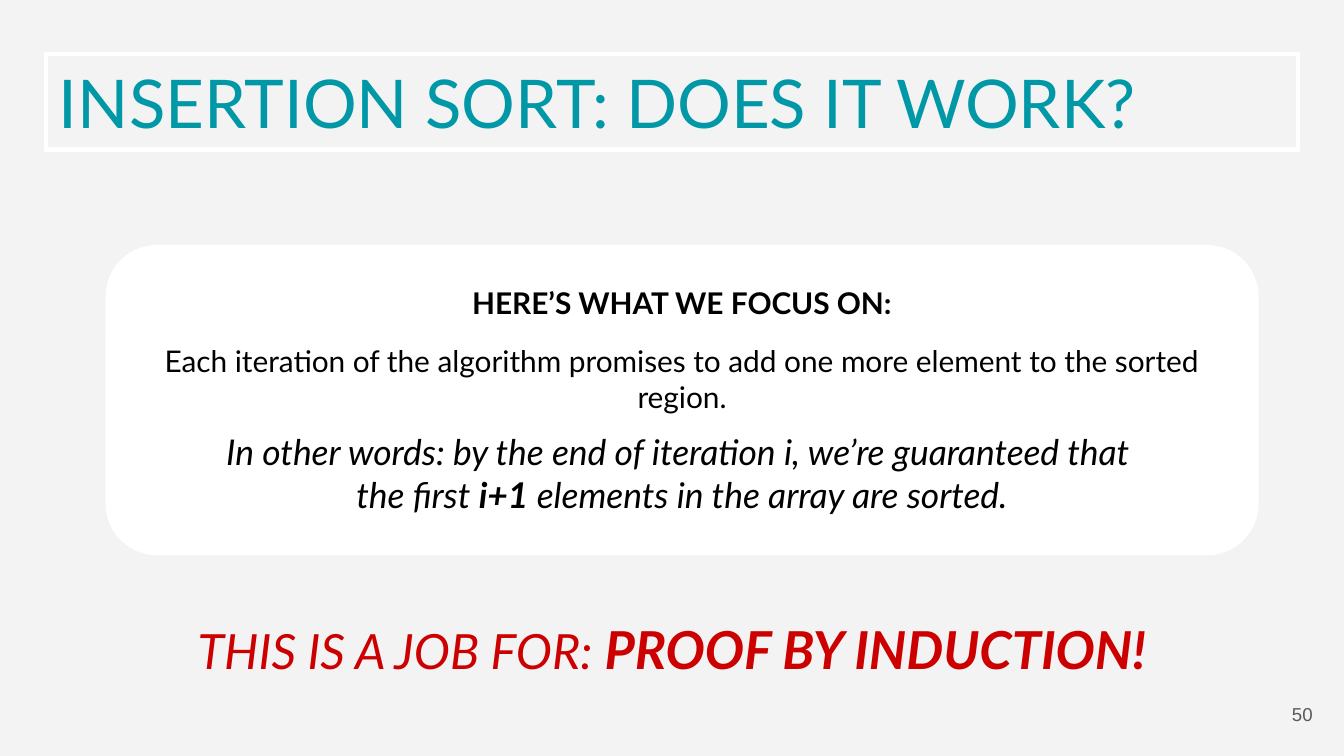
from dataclasses import dataclass

from pptx import Presentation
from pptx import util as u
from pptx.dml import color
from pptx.enum import shapes, text

WIDE = u.Inches(10)
HIGH = WIDE * 9 // 16


@dataclass(frozen=True)
class Theme:
    back: str = "F3F3F3"
    white: str = "FFFFFF"
    black: str = "000000"
    teal: str = "0097A7"
    red: str = "CC0000"
    grey: str = "595959"
    main: str = "Lato"
    plain: str = "Arial"
    title: int = 36
    loud: int = 28
    call: int = 26
    claim: int = 19
    body: int = 16
    page: int = 10


@dataclass(frozen=True)
class Area:
    left: float
    top: float
    width: float
    height: float

    def place(self) -> tuple:
        return (round(self.left * WIDE / 100), round(self.top * HIGH / 100),
                round(self.width * WIDE / 100), round(self.height * HIGH / 100))


@dataclass(frozen=True)
class Run:
    words: str
    size: int
    bold: bool = False
    slant: bool = False


@dataclass(frozen=True)
class Para:
    runs: tuple
    gap: float = 0


THEME = Theme()


def tint(code: str) -> color.RGBColor:
    return color.RGBColor.from_string(code)


def write(shape, *paras: Para, ink: str, face: str = THEME.main,
          align=text.PP_ALIGN.CENTER) -> None:
    frame = shape.text_frame
    frame.word_wrap = True
    frame.vertical_anchor = text.MSO_ANCHOR.MIDDLE
    for side in ("left", "right", "top", "bottom"):
        setattr(frame, f"margin_{side}", u.Inches(0.1))
    for index, para in enumerate(paras):
        line = frame.add_paragraph() if index else frame.paragraphs[0]
        line.alignment = align
        if index:
            line.space_before = u.Pt(para.gap)
        for part in para.runs:
            for row, words in enumerate(part.words.split("\n")):
                if row:
                    line.add_line_break()
                run = line.add_run()
                run.text = words
                font = run.font
                font.name, font.size = face, u.Pt(part.size)
                font.bold, font.italic = part.bold, part.slant
                font.color.rgb = tint(ink)


def panel(slide, kind, area: Area, fill: str = "", edge: str = ""):
    shape = slide.shapes.add_shape(kind, *area.place())
    shape.shadow.inherit = False
    if fill:
        shape.fill.solid()
        shape.fill.fore_color.rgb = tint(fill)
    else:
        shape.fill.background()
    if edge:
        shape.line.color.rgb = tint(edge)
        shape.line.width = u.Pt(2.25)
    else:
        shape.line.fill.background()
    return shape


def label(slide, area: Area):
    return slide.shapes.add_textbox(*area.place())


def main() -> None:
    deck = Presentation()
    deck.slide_width, deck.slide_height = WIDE, HIGH
    slide = deck.slides.add_slide(deck.slide_layouts[6])
    slide.background.fill.solid()
    slide.background.fill.fore_color.rgb = tint(THEME.back)

    title = panel(slide, shapes.MSO_SHAPE.RECTANGLE,
                  Area(3.4, 7.2, 93.2, 12.6), edge=THEME.white)
    write(title, Para((Run("INSERTION SORT: DOES IT WORK?", THEME.title),)),
          ink=THEME.teal, align=text.PP_ALIGN.LEFT)

    focus = panel(slide, shapes.MSO_SHAPE.ROUNDED_RECTANGLE,
                  Area(7.85, 32.4, 85.8, 41.05), fill=THEME.white)
    write(focus,
          Para((Run("HERE’S WHAT WE FOCUS ON:", THEME.body, bold=True),)),
          Para((Run("Each iteration of the algorithm promises to add one more "
                    "element to the sorted region.", THEME.body),), gap=12),
          Para((Run("In other words: by the end of iteration i, we’re "
                    "guaranteed that \nthe first ", THEME.claim, slant=True),
                Run("i+1", THEME.claim, bold=True, slant=True),
                Run(" elements in the array are sorted.", THEME.claim,
                    slant=True)), gap=8.4),
          ink=THEME.black)

    call = label(slide, Area(10.5, 76.8, 79, 17.95))
    write(call,
          Para((Run("THIS IS A JOB FOR: ", THEME.call, slant=True),
                Run("PROOF BY INDUCTION!", THEME.loud, bold=True,
                    slant=True))),
          ink=THEME.red)

    page = label(slide, Area(92.65, 90.65, 6, 7.65))
    write(page, Para((Run("50", THEME.page),)), ink=THEME.grey,
          face=THEME.plain, align=text.PP_ALIGN.RIGHT)

    deck.save("out.pptx")


if __name__ == "__main__":
    main()
